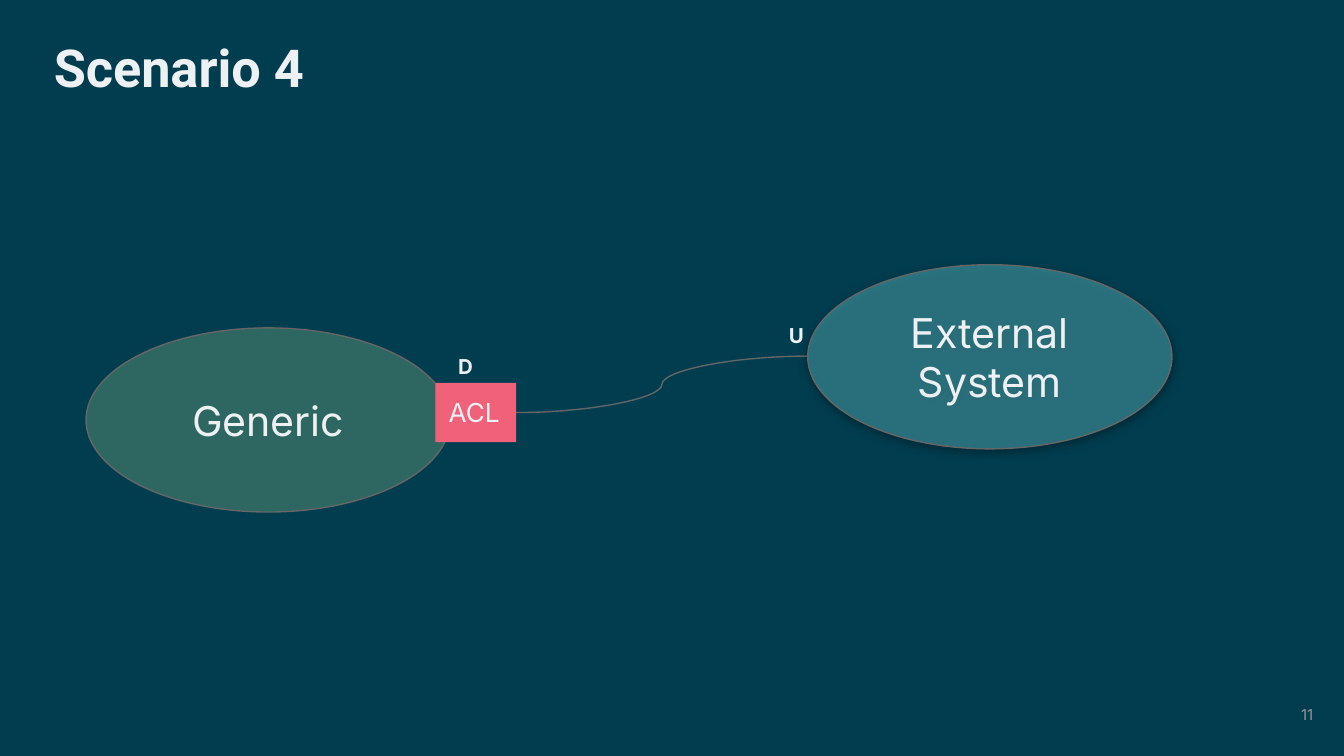
from lxml import etree
from pptx import Presentation
from pptx.dml.color import RGBColor
from pptx.enum.shapes import MSO_CONNECTOR, MSO_SHAPE
from pptx.enum.text import MSO_ANCHOR, MSO_AUTO_SIZE, PP_ALIGN
from pptx.oxml import parse_xml
from pptx.oxml.ns import nsdecls, qn
from pptx.util import Inches, Pt

BACKGROUND = RGBColor(0x00, 0x3D, 0x4F)
LIGHT = RGBColor(0xED, 0xF1, 0xF3)
OUTLINE = RGBColor(0x66, 0x66, 0x66)
NUMBER_GRAY = RGBColor(0x99, 0x99, 0x99)
GREEN = RGBColor(0x6B, 0x9E, 0x78)
TEAL = RGBColor(0x47, 0xA1, 0xAD)
PINK = RGBColor(0xF2, 0x61, 0x7A)


def write(shape, text, size, color=LIGHT, font="Inter", bold=False,
          align=PP_ALIGN.CENTER, anchor=MSO_ANCHOR.TOP, inset=0.1, grow=False):
    frame = shape.text_frame
    frame.text = text
    frame.word_wrap = True
    frame.auto_size = MSO_AUTO_SIZE.SHAPE_TO_FIT_TEXT if grow else MSO_AUTO_SIZE.NONE
    frame.vertical_anchor = anchor
    frame.margin_left = frame.margin_right = Inches(inset)
    frame.margin_top = frame.margin_bottom = Inches(inset)
    paragraph = frame.paragraphs[0]
    paragraph.alignment = align
    run_font = paragraph.runs[0].font
    run_font.name, run_font.size, run_font.bold = font, Pt(size), bold
    run_font.color.rgb = color


def add_context(left, top, text, color, opacity):
    shape = slide.shapes.add_shape(MSO_SHAPE.OVAL, Inches(left), Inches(top),
                                   Inches(2.71), Inches(1.37))
    shape.shadow.inherit = False
    shape.fill.solid()
    shape.fill.fore_color.rgb = color
    color_element = shape._element.spPr.find(qn("a:solidFill"))[0]
    etree.SubElement(color_element, qn("a:alpha"), val=str(opacity * 1000))
    shape.line.color.rgb = OUTLINE
    shape.line.width = Pt(0.75)
    write(shape, text, 22, anchor=MSO_ANCHOR.MIDDLE)
    return shape


# Slide in 16:9
presentation = Presentation()
presentation.slide_width = Inches(10)
presentation.slide_height = Inches(10) * 9 // 16
slide = presentation.slides.add_slide(presentation.slide_layouts[6])
slide.background.fill.solid()
slide.background.fill.fore_color.rgb = BACKGROUND

# Title and slide number
title = slide.shapes.add_textbox(Inches(0.4), Inches(0.26), Inches(9.19), Inches(0.63))
write(title, "Scenario 4", 28, font="Roboto", bold=True, align=PP_ALIGN.LEFT, inset=0)
number = slide.shapes.add_textbox(Inches(9.27), Inches(5.1), Inches(0.6), Inches(0.43))
write(number, "11", 8, color=NUMBER_GRAY, align=PP_ALIGN.RIGHT, anchor=MSO_ANCHOR.MIDDLE)

# Curve from the ACL to the external system
curve = slide.shapes.add_connector(MSO_CONNECTOR.CURVE, Inches(3.84), Inches(3.07),
                                   Inches(6.01), Inches(2.65))
curve.line.color.rgb = OUTLINE
curve.line.width = Pt(0.75)
etree.SubElement(curve._element.spPr, qn("a:effectLst"))

# Generic context with its ACL
add_context(0.64, 2.44, "Generic", GREEN, 44)
acl = slide.shapes.add_shape(MSO_SHAPE.RECTANGLE, Inches(3.24), Inches(2.85),
                             Inches(0.6), Inches(0.44))
acl.shadow.inherit = False
acl.fill.solid()
acl.fill.fore_color.rgb = PINK
acl.line.fill.background()
write(acl, "ACL", 14, align=PP_ALIGN.LEFT, grow=True)

# Downstream and upstream marks, with the external system between them in depth
for text, left, top in (("D", 3.23, 2.54), ("U", 5.69, 2.31)):
    if text == "U":
        external = add_context(6.01, 1.97, "External System", TEAL, 58)
    mark = slide.shapes.add_textbox(Inches(left), Inches(top), Inches(0.47), Inches(0.39))
    write(mark, text, 11, bold=True, grow=True)

# Soft shadow of the external system
external._element.spPr.find(qn("a:effectLst")).append(parse_xml(
    f'<a:outerShdw {nsdecls("a")} blurRad="{Pt(4.5)}" dist="{Pt(1.5)}" dir="5400000"'
    ' algn="bl" rotWithShape="0"><a:srgbClr val="000000"><a:alpha val="50000"/>'
    '</a:srgbClr></a:outerShdw>'))

presentation.save("out.pptx")
